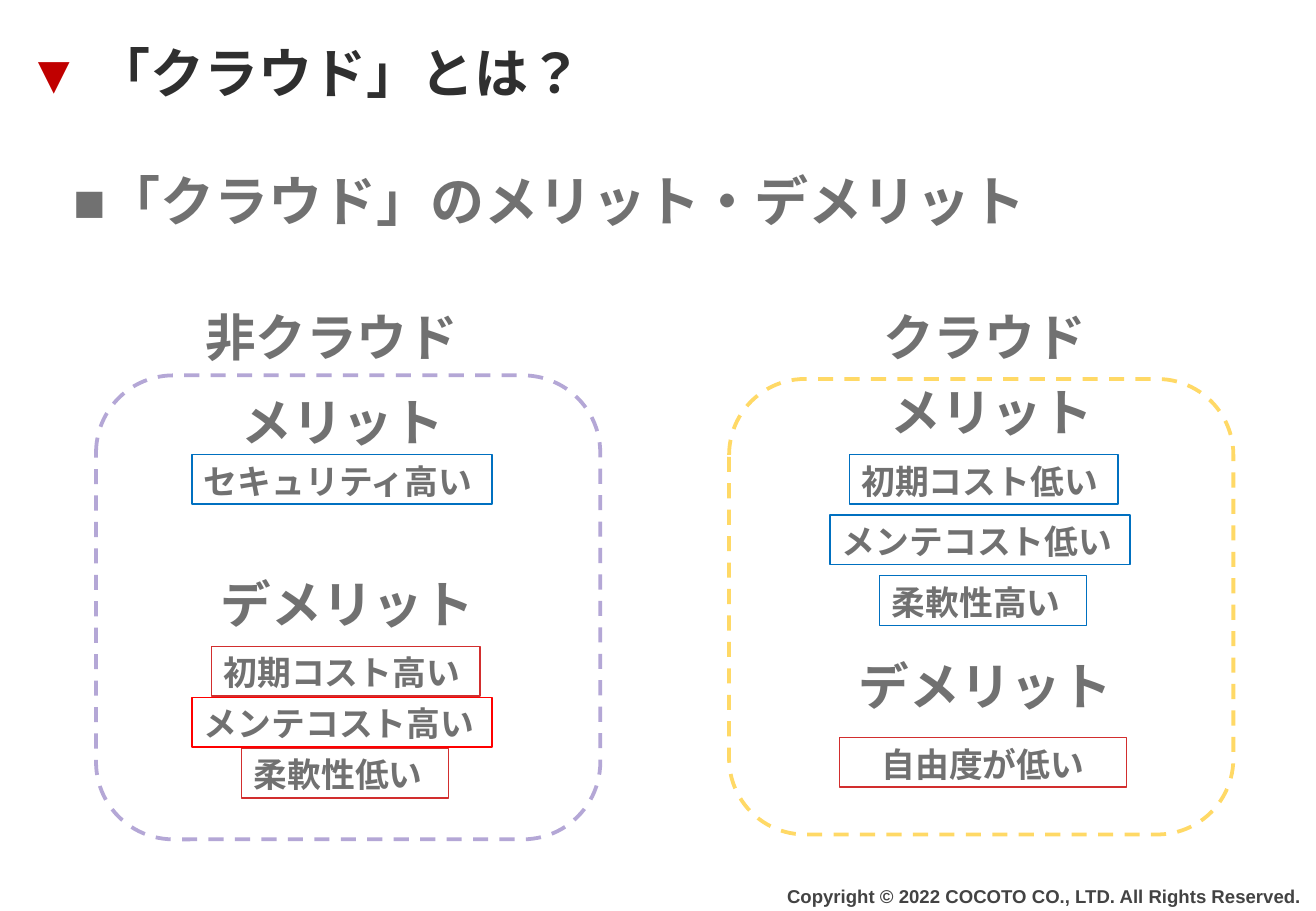
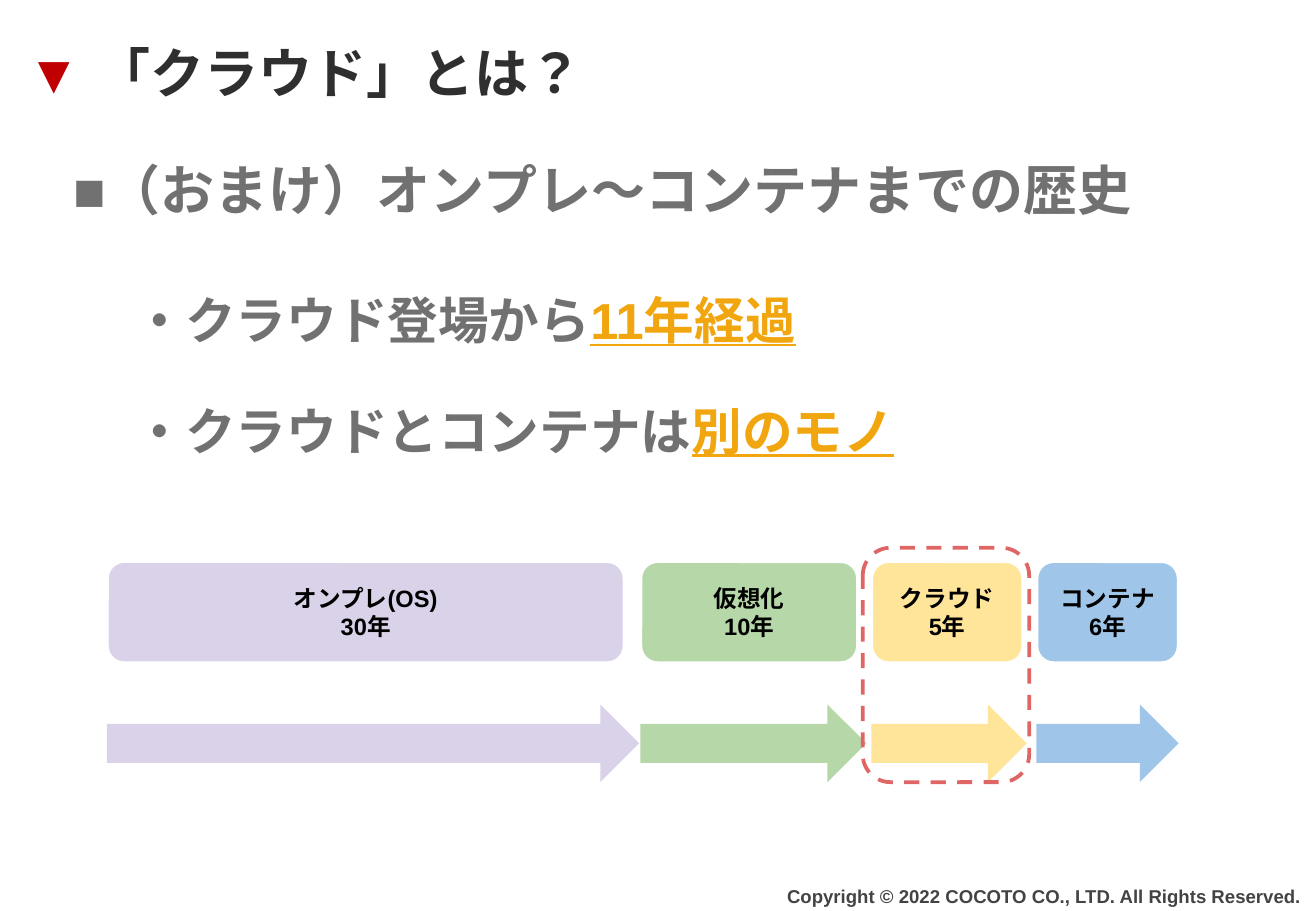
from dataclasses import dataclass

from lxml import etree
from pptx import Presentation
from pptx.dml.color import RGBColor
from pptx.enum.dml import MSO_LINE_DASH_STYLE as Dash
from pptx.enum.lang import MSO_LANGUAGE_ID as Language
from pptx.enum.shapes import MSO_SHAPE as Preset
from pptx.enum.text import MSO_ANCHOR as Anchor, PP_ALIGN as Align
from pptx.oxml.ns import qn
from pptx.util import Inches, Pt


@dataclass(frozen=True)
class Theme:
    font: str = "Arial"
    # Colours
    marker: str = "C00000"
    title: str = "2F2F2F"
    body: str = "717171"
    footer: str = "434343"
    accent: str = "F1A60F"
    black: str = "000000"
    white: str = "FFFFFF"
    merit: str = "0070C0"
    demerit: str = "D22E2E"
    demerit_strong: str = "FF0000"
    purple_frame: str = "B4A7D6"
    yellow_frame: str = "FFD966"
    red_frame: str = "E06666"
    purple: str = "D9D2E9"
    green: str = "B6D7A8"
    yellow: str = "FFE599"
    blue: str = "9FC5E8"
    # Type sizes
    heading_size: int = 32
    body_size: int = 30
    label_size: int = 20
    era_size: int = 14
    footer_size: int = 11
    # Line widths
    thick: float = 2.25
    thin: float = 0.75


THEME = Theme()


def write_text(shape, paragraphs, *, size, color=THEME.body, align=Align.LEFT,
               anchor=Anchor.TOP, margins=(0.1, 0.05, 0.1, 0.05), spacing=None):
    """Each paragraph is a list of (text, format) pairs; format may hold color and underline."""
    frame = shape.text_frame
    frame.word_wrap = True
    frame.vertical_anchor = anchor
    (frame.margin_left, frame.margin_top,
     frame.margin_right, frame.margin_bottom) = map(Inches, margins)
    for index, pieces in enumerate(paragraphs):
        paragraph = frame.add_paragraph() if index else frame.paragraphs[0]
        paragraph.alignment = align
        if spacing:
            paragraph.line_spacing = spacing
        for text, style in pieces:
            run = paragraph.add_run()
            run.text = text
            font = run.font
            font.size, font.bold, font.name = Pt(size), True, THEME.font
            font.language_id = Language.JAPANESE
            font.color.rgb = RGBColor.from_string(style.get("color", color))
            if style.get("underline"):
                font.underline = True
            east_asian = etree.SubElement(run._r.get_or_add_rPr(), qn("a:ea"))
            east_asian.set("typeface", THEME.font)


class Deck:
    def __init__(self):
        self.presentation = Presentation()
        self.presentation.slide_width = Inches(10.83)
        self.presentation.slide_height = Inches(7.5)
        self.slide = None

    def new_slide(self, heading, heading_top):
        """Start a slide with the shared title, its heading and the footer."""
        blank = self.presentation.slide_layouts[6]
        self.slide = self.presentation.slides.add_slide(blank)
        self.text((6.1, 7.24, 4.69, 0.26),
                  [("Copyright © 2022 COCOTO CO., LTD. All Rights Reserved.", {})],
                  size=THEME.footer_size, color=THEME.footer, align=Align.RIGHT,
                  margins=(0.1, 0.05, 0.08, 0.05))
        self.text((0.13, 0.21, 10.6, 0.65),
                  [("▼ ", {"color": THEME.marker}), ("「クラウド」とは？", {})],
                  size=THEME.heading_size, color=THEME.title, anchor=Anchor.MIDDLE,
                  margins=(0.1, 0.05, 0.1, 0.04), spacing=1.2)
        self.text((0.51, heading_top, 10.18, 0.65), [(heading, {})],
                  size=THEME.heading_size)

    def text(self, box, pieces, **style):
        shape = self.slide.shapes.add_textbox(*map(Inches, box))
        write_text(shape, [pieces], **style)

    def body(self, left, top, width, *pieces):
        self.text((left, top, width, 0.65), pieces, size=THEME.body_size)

    def shape(self, preset, box, fill=None, line=None, width=THEME.thick, dashed=False):
        shape = self.slide.shapes.add_shape(preset, *map(Inches, box))
        shape.shadow.inherit = False
        if fill:
            shape.fill.solid()
            shape.fill.fore_color.rgb = RGBColor.from_string(fill)
        else:
            shape.fill.background()
        if line:
            shape.line.color.rgb = RGBColor.from_string(line)
            shape.line.width = Pt(width)
            if dashed:
                shape.line.dash_style = Dash.DASH
        else:
            shape.line.fill.background()
        return shape

    def dashed_frame(self, box, color):
        self.shape(Preset.ROUNDED_RECTANGLE, box, line=color, dashed=True)

    def label(self, text, left, top, width, color, align=Align.LEFT):
        shape = self.shape(Preset.RECTANGLE, (left, top, width, 0.41),
                           line=color, width=THEME.thin)
        write_text(shape, [[(text, {})]], size=THEME.label_size, align=align)

    def era(self, name, years, left, box_width, arrow_width, color):
        """A period of the timeline: a named box above an arrow."""
        box = self.shape(Preset.ROUNDED_RECTANGLE, (left, 4.62, box_width, 0.84),
                         fill=color, line=THEME.white)
        write_text(box, [[(name, {})], [(years, {})]], size=THEME.era_size,
                   color=THEME.black, align=Align.CENTER, anchor=Anchor.MIDDLE,
                   margins=(0.1,) * 4)
        self.shape(Preset.RIGHT_ARROW, (left, 5.8, arrow_width, 0.64), fill=color)


def build_comparison(deck):
    deck.new_slide("■「クラウド」のメリット・デメリット", 1.33)
    deck.dashed_frame((6, 3.12, 4.15, 3.75), THEME.yellow_frame)
    deck.dashed_frame((0.79, 3.09, 4.15, 3.82), THEME.purple_frame)

    # Column names and group headings
    for text, left, top, width in (
        ("非クラウド", 1.59, 2.47, 2.36),
        ("メリット", 1.89, 3.17, 1.89),
        ("デメリット", 1.72, 4.67, 2.36),
        ("クラウド", 7.17, 2.47, 1.89),
        ("メリット", 7.23, 3.09, 1.89),
        ("デメリット", 6.97, 5.34, 2.36),
    ):
        deck.body(left, top, width, (text, {}))

    # Stacks of labels: first top, step, then the labels
    merit, demerit = THEME.merit, THEME.demerit
    stacks = (
        (3.74, 0, [("セキュリティ高い", 1.58, 2.47, merit)]),
        (5.32, 0.42, [("初期コスト高い", 1.74, 2.21, demerit),
                      ("メンテコスト高い", 1.58, 2.47, THEME.demerit_strong),
                      ("柔軟性低い", 1.99, 1.7, demerit)]),
        (3.74, 0.5, [("初期コスト低い", 6.99, 2.21, merit),
                     ("メンテコスト低い", 6.83, 2.47, merit),
                     ("柔軟性高い", 7.24, 1.7, merit)]),
        (6.07, 0, [("自由度が低い", 6.91, 2.36, demerit, Align.CENTER)]),
    )
    for top, step, labels in stacks:
        for row, (text, left, width, *style) in enumerate(labels):
            deck.label(text, left, top + row * step, width, *style)


def build_history(deck):
    deck.new_slide("■（おまけ）オンプレ〜コンテナまでの歴史", 1.24)

    # Key points
    emphasis = {"color": THEME.accent, "underline": True}
    for top, lead, key in ((2.33, "・クラウド登場から", "11年経過"),
                           (3.24, "・クラウドとコンテナは", "別のモノ")):
        deck.body(1.01, top, 9.78, (lead, {}), (key, emphasis))

    # Timeline
    for era in (
        ("オンプレ(OS)", "30年", 0.88, 4.26, 4.38, THEME.purple),
        ("仮想化", "10年", 5.27, 1.79, 1.86, THEME.green),
        ("クラウド", "5年", 7.17, 1.25, 1.28, THEME.yellow),
        ("コンテナ", "6年", 8.53, 1.17, 1.17, THEME.blue),
    ):
        deck.era(*era)
    deck.dashed_frame((7.1, 4.51, 1.37, 1.93), THEME.red_frame)


def main():
    deck = Deck()
    build_comparison(deck)
    build_history(deck)
    deck.presentation.save("out.pptx")


if __name__ == "__main__":
    main()
